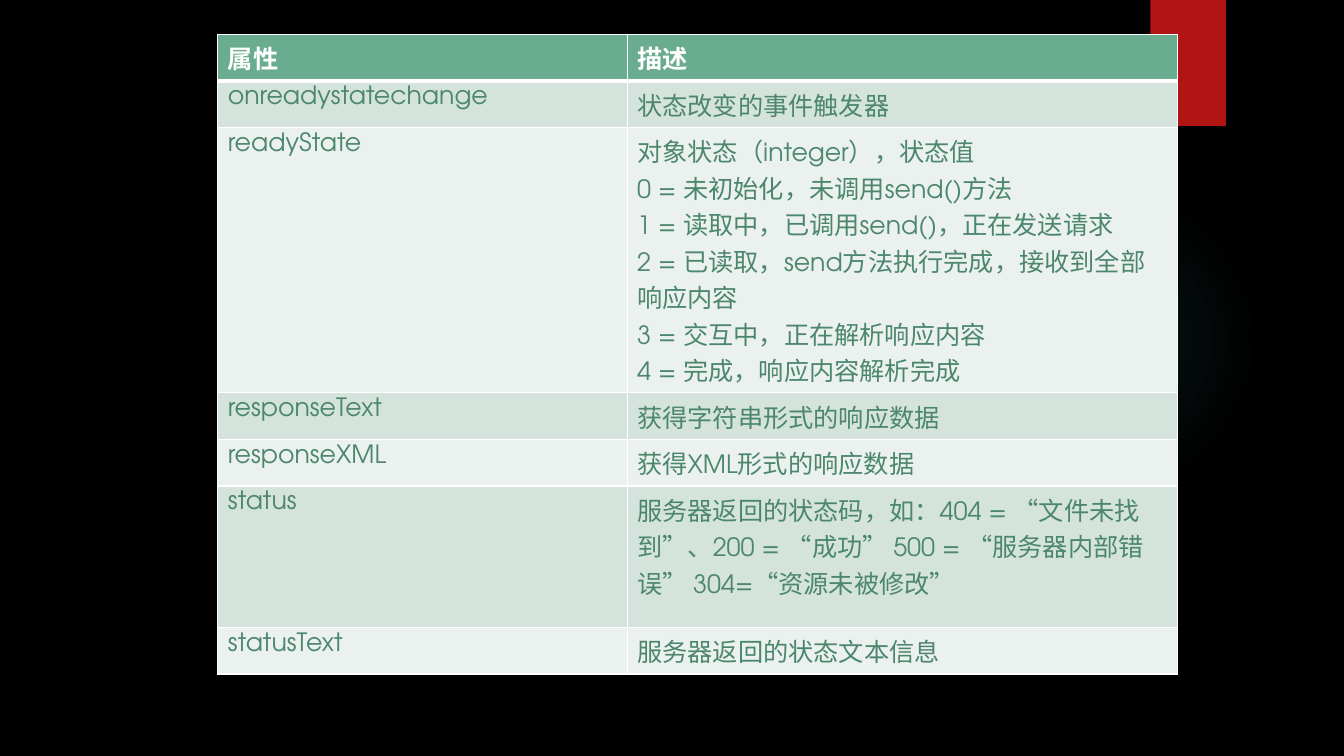
from lxml.etree import SubElement
from pptx import Presentation
from pptx.dml.color import RGBColor
from pptx.enum.lang import MSO_LANGUAGE_ID
from pptx.enum.shapes import MSO_SHAPE
from pptx.oxml import parse_xml
from pptx.oxml.ns import nsdecls, qn
from pptx.util import Inches, Pt

ROWS = [
    ("属性", ["描述"]),
    ("onreadystatechange", ["状态改变的事件触发器"]),
    ("readyState", [
        "对象状态（integer），状态值",
        "0 = 未初始化，未调用send()方法",
        "1 = 读取中，已调用send()，正在发送请求",
        "2 = 已读取，send方法执行完成，接收到全部响应内容",
        "3 = 交互中，正在解析响应内容",
        "4 = 完成，响应内容解析完成",
    ]),
    ("responseText", ["获得字符串形式的响应数据"]),
    ("responseXML", ["获得XML形式的响应数据"]),
    ("status", [
        "服务器返回的状态码，如：404 = “文件未找到”、200 = “成功” "
        "500 = “服务器内部错误” 304=“资源未被修改”",
    ]),
    ("statusText", ["服务器返回的状态文本信息"]),
]
LINES = [1, 1, 7, 1, 1, 3.62, 1]
COLUMNS = [4.06, 5.46]
TABLE_LEFT, TABLE_TOP = 2.16, 0.34
LINE_HEIGHT, CELL_MARGIN = 0.36, 0.05
HEADER_FILL, BANDS = "6AAC90", ["EBF1EE", "D4E3DB"]
HEADER_FONT = {"name": "TeX Gyre Adventor", "size": Pt(18), "bold": True}
BODY_FONT = {**HEADER_FONT, "bold": False}
WHITE, TEXT_GREEN, RED, GLOW = "FFFFFF", "4B866D", "B01513", "50B9C1"
GLOW_STOPS = [(0, 7), (36, 6), (69, 0)]


def color(value):
    return RGBColor.from_string(value)


def add_plain_shape(page, kind, *bounds):
    shape = page.shapes.add_shape(kind, *map(Inches, bounds))
    shape.shadow.inherit = False
    shape.line.fill.background()
    return shape


def add_glow(page):
    glow = add_plain_shape(page, MSO_SHAPE.OVAL, 9.41, 1.83, 3.08, 3.08)
    stops = "".join(
        f'<a:gs pos="{place * 1000}"><a:srgbClr val="{GLOW}">'
        f'<a:alpha val="{alpha * 1000}"/></a:srgbClr></a:gs>'
        for place, alpha in GLOW_STOPS)
    gradient = parse_xml(
        f'<a:gradFill {nsdecls("a")}><a:gsLst>{stops}</a:gsLst><a:path path="circle">'
        '<a:fillToRect l="50000" t="50000" r="50000" b="50000"/></a:path></a:gradFill>')
    glow.element.spPr.find(qn("a:prstGeom")).addnext(gradient)


def set_borders(cell, bottom):
    properties = cell._tc.get_or_add_tcPr()
    widths = {"lnL": 1, "lnR": 1, "lnT": 1, "lnB": bottom}
    for position, (side, width) in enumerate(widths.items()):
        line = SubElement(properties, qn(f"a:{side}"), w=str(Pt(width)))
        fill = SubElement(line, qn("a:solidFill"))
        SubElement(fill, qn("a:srgbClr"), val=WHITE)
        properties.insert(position, line)


def fill_cell(cell, lines, row):
    header = row == 0
    cell.fill.solid()
    cell.fill.fore_color.rgb = color(HEADER_FILL if header else BANDS[row % 2])
    set_borders(cell, 3 if header else 1)
    for index, line in enumerate(lines):
        frame = cell.text_frame
        para = frame.paragraphs[0] if index == 0 else frame.add_paragraph()
        span = para.add_run()
        span.text = line
        span.font.language_id = MSO_LANGUAGE_ID.SIMPLIFIED_CHINESE
        span.font.color.rgb = color(WHITE if header else TEXT_GREEN)
        for name, value in (HEADER_FONT if header else BODY_FONT).items():
            setattr(span.font, name, value)


def add_properties_table(page):
    heights = [count * LINE_HEIGHT + 2 * CELL_MARGIN for count in LINES]
    bounds = (TABLE_LEFT, TABLE_TOP, sum(COLUMNS), sum(heights))
    table = page.shapes.add_table(len(ROWS), len(COLUMNS), *map(Inches, bounds)).table
    for column, width in zip(table.columns, COLUMNS):
        column.width = Inches(width)
    for row, (name, description) in enumerate(ROWS):
        table.rows[row].height = Inches(heights[row])
        fill_cell(table.cell(row, 0), [name], row)
        fill_cell(table.cell(row, 1), description, row)


def main():
    deck = Presentation()
    deck.slide_width, deck.slide_height = Inches(13.33), Inches(7.5)
    page = deck.slides.add_slide(deck.slide_layouts[6])
    page.background.fill.solid()
    page.background.fill.fore_color.rgb = color("000000")
    add_glow(page)
    ribbon = add_plain_shape(page, MSO_SHAPE.RECTANGLE, 11.41, 0, 0.75, 1.25)
    ribbon.fill.solid()
    ribbon.fill.fore_color.rgb = color(RED)
    add_properties_table(page)
    deck.save("out.pptx")


if __name__ == "__main__":
    main()
